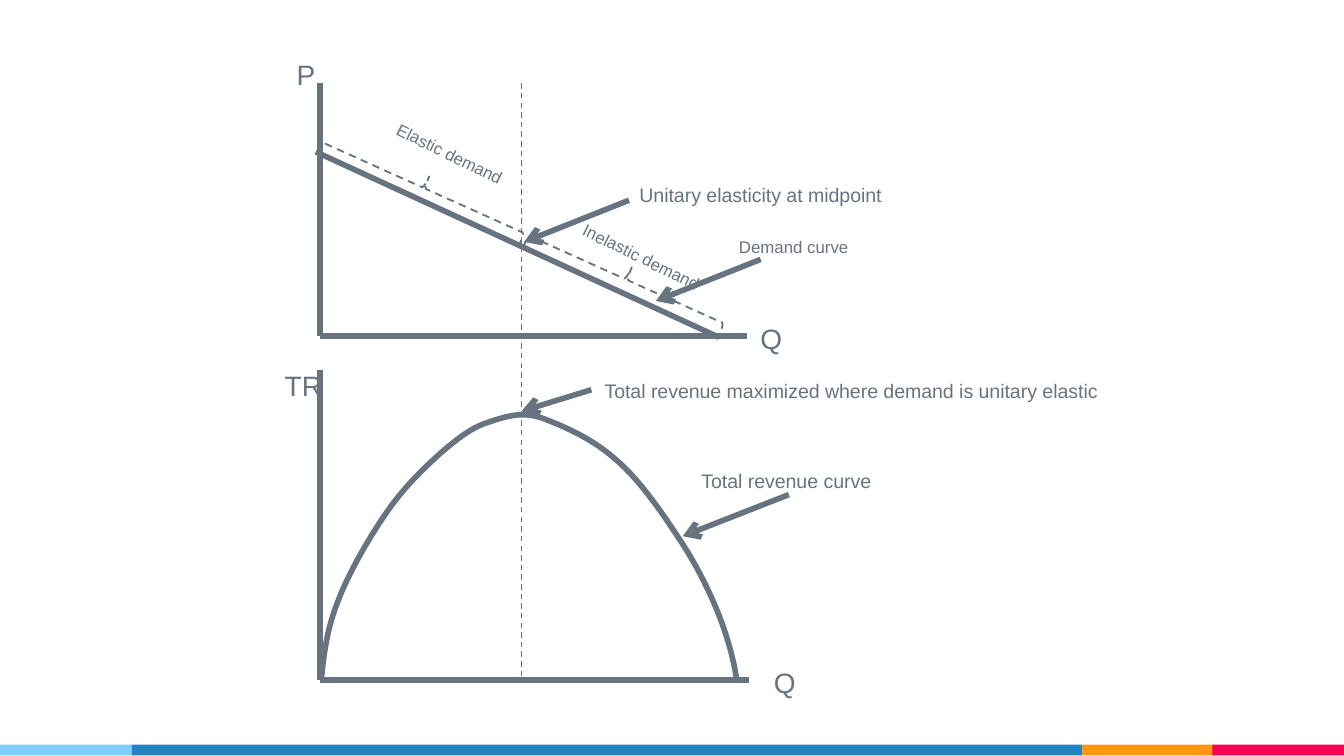
from lxml import etree
from pptx import Presentation
from pptx import util as u
from pptx.dml.color import RGBColor
from pptx.enum import dml, shapes, text
from pptx.oxml.ns import qn

THEME = {
    "font": "Arial", "ink": "677480",
    "axis": 15, "note": 10.5, "small": 9,
    "bold": 3, "thin": 0.75, "brace": 1,
}

# Footer bands: left, width, colour
BANDS = [(8.05, 0.98, "FF9715"), (9.02, 0.98, "F20253"),
         (0, 0.98, "7ECEFD"), (0.98, 7.07, "2185C5")]
BAND_TOP, BAND_H = 5.54, 0.08

# Lines: x1, y1, x2, y2
AXES = [(2.38, 0.62, 2.38, 2.5), (2.38, 2.75, 2.38, 5.06),
        (2.38, 2.5, 5.56, 2.5), (2.38, 5.06, 5.57, 5.06)]
DEMAND = (2.35, 1.13, 5.35, 2.51)
GUIDE = (3.88, 0.62, 3.88, 5.06)
ARROWS = [(5.66, 1.93, 4.88, 2.24), (5.87, 3.68, 5.08, 3.99),
          (4.68, 1.49, 3.9, 1.8), (4.4, 2.9, 3.88, 3.06)]

# Braces: left, top, width, height
BRACES = [(3.06, 0.58, 0.19, 1.64), (4.56, 1.28, 0.2, 1.6)]
BRACE_TURN = 294.2

# Total revenue curve: a start point, then three Bezier points a segment
REVENUE = [
    (2.39, 5.06),
    (2.41, 4.87), (2.43, 4.68), (2.52, 4.46),
    (2.6, 4.25), (2.77, 3.96), (2.9, 3.78),
    (3.03, 3.6), (3.16, 3.48), (3.28, 3.37),
    (3.41, 3.26), (3.51, 3.18), (3.64, 3.14),
    (3.76, 3.1), (3.88, 3.06), (4.03, 3.11),
    (4.19, 3.17), (4.4, 3.26), (4.57, 3.41),
    (4.74, 3.55), (4.91, 3.79), (5.04, 3.99),
    (5.17, 4.18), (5.28, 4.4), (5.35, 4.58),
    (5.42, 4.76), (5.46, 4.92), (5.48, 5.05),
]

# Labels: words, size, left, top, width, turn
LABELS = [
    ("P", "axis", 2.11, 0.38, 0.34, 0),
    ("Q", "axis", 5.66, 4.9, 0.36, 0),
    ("TR", "axis", 2.02, 2.69, 0.48, 0),
    ("Q", "axis", 5.56, 2.34, 0.36, 0),
    ("Elastic demand", "small", 2.82, 1.02, 1.06, 26),
    ("Inelastic demand", "small", 4.2, 1.79, 1.16, 26),
    ("Demand curve", "small", 5.4, 1.71, 1.02, 0),
    ("Total revenue curve", "note", 5.12, 3.44, 1.51, 0),
    ("Unitary elasticity at midpoint", "note", 4.66, 1.31, 2.04, 0),
    ("Total revenue maximized where demand is unitary elastic",
     "note", 4.4, 2.77, 3.96, 0),
]
HEIGHTS = {"axis": 0.35, "note": 0.28, "small": 0.25}

# A 16:9 slide
deck = Presentation()
deck.slide_width = u.Inches(10)
deck.slide_height = u.Inches(10 * 9 / 16)
slide = deck.slides.add_slide(deck.slide_layouts[6])
tree = slide.shapes


def color(code):
    return RGBColor.from_string(code)


def inches(nums):
    return [u.Inches(n) for n in nums]


def stroke(item, width, dash=False):
    item.line.color.rgb = color(THEME["ink"])
    item.line.width = u.Pt(THEME[width])
    if dash:
        item.line.dash_style = dml.MSO_LINE.DASH


def add_line(ends, width="bold", dash=False, arrow=False):
    line = tree.add_connector(shapes.MSO_CONNECTOR.STRAIGHT, *inches(ends))
    stroke(line, width, dash)
    props = line._element.spPr
    etree.SubElement(props, qn("a:effectLst"))
    if arrow:
        etree.SubElement(props.find(qn("a:ln")), qn("a:tailEnd"), type="arrow")


def add_brace(place):
    brace = tree.add_shape(shapes.MSO_SHAPE.RIGHT_BRACE, *inches(place))
    brace.rotation = BRACE_TURN
    brace.shadow.inherit = False
    brace.fill.background()
    stroke(brace, "brace", dash=True)


def add_curve(points):
    start, *rest = [inches(point) for point in points]
    pen = tree.build_freeform(*start)
    pen.add_line_segments(rest, close=False)
    curve = pen.convert_to_shape()
    curve.shadow.inherit = False
    curve.fill.background()
    stroke(curve, "bold")
    # Join each three straight steps into one Bezier segment
    steps = list(curve._element.iter(qn("a:lnTo")))
    for i in range(0, len(steps), 3):
        bend = etree.Element(qn("a:cubicBezTo"))
        steps[i].addprevious(bend)
        for step in steps[i:i + 3]:
            bend.append(step[0])
            step.getparent().remove(step)


def add_label(words, size, left, top, width, turn):
    box = tree.add_textbox(*inches((left, top, width, HEIGHTS[size])))
    box.rotation = turn
    frame = box.text_frame
    frame.word_wrap = False
    frame.auto_size = text.MSO_AUTO_SIZE.SHAPE_TO_FIT_TEXT
    para = frame.paragraphs[0]
    para.text = words
    para.font.name = THEME["font"]
    para.font.size = u.Pt(THEME[size])
    para.font.color.rgb = color(THEME["ink"])


# Footer
for left, width, fill in BANDS:
    band = tree.add_shape(shapes.MSO_SHAPE.RECTANGLE,
                          *inches((left, BAND_TOP, width, BAND_H)))
    band.shadow.inherit = False
    band.fill.solid()
    band.fill.fore_color.rgb = color(fill)
    band.line.fill.background()

# Axes, demand line and midpoint guide
for axis in AXES:
    add_line(axis)
add_line(DEMAND)
add_line(GUIDE, "thin", dash=True)

# Braces and revenue curve
for place in BRACES:
    add_brace(place)
add_curve(REVENUE)

# Labels and arrows
for label in LABELS:
    add_label(*label)
for arrow in ARROWS:
    add_line(arrow, arrow=True)

deck.save("out.pptx")
